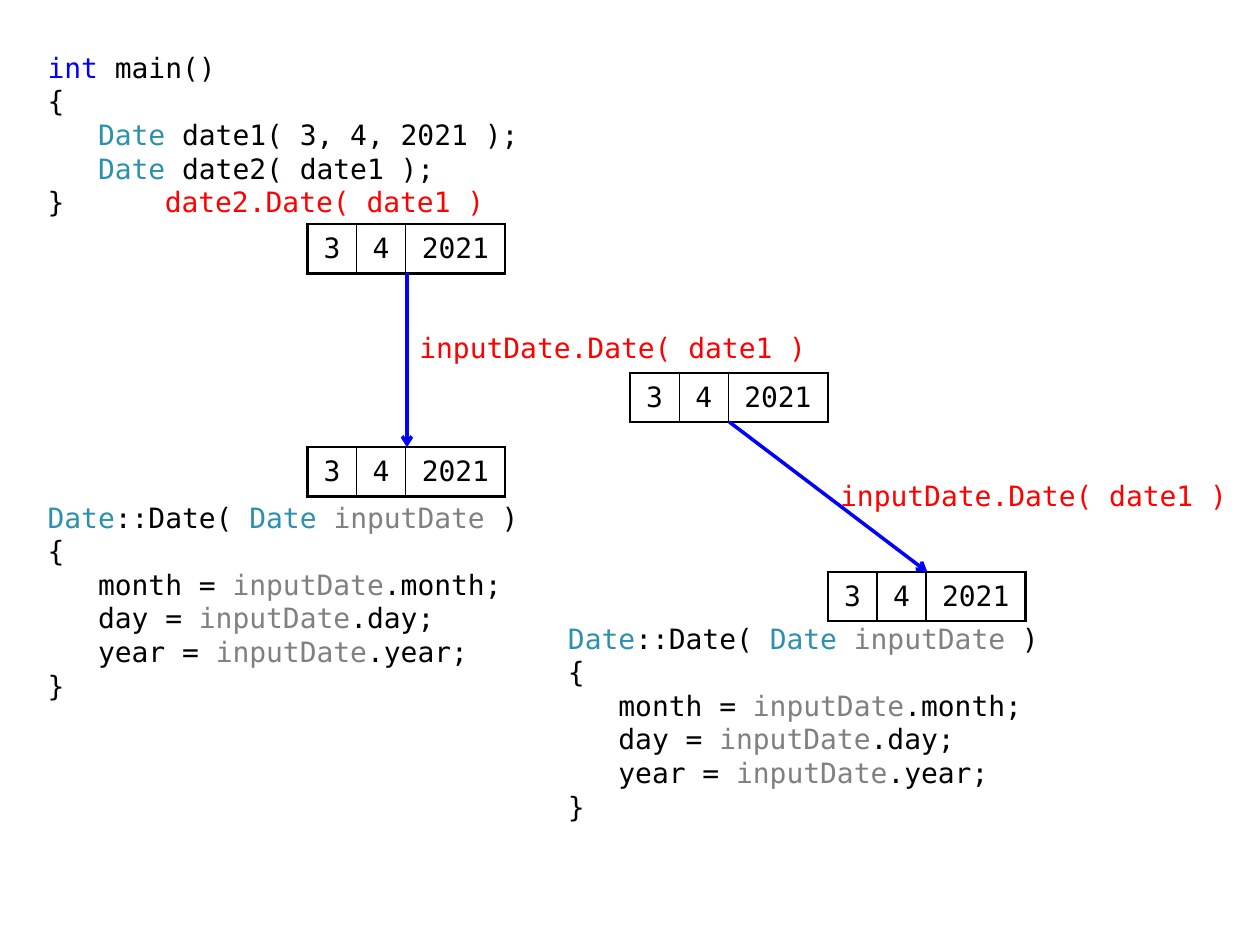
import pptx
import pptx.dml.color
import pptx.enum.shapes
import pptx.enum.text
import pptx.oxml
import pptx.oxml.ns
import pptx.util
from pptx.util import Inches

COLORS = {
    "plain": "000000",
    "keyword": "0000FF",
    "type": "2B91AF",
    "parameter": "808080",
    "call": "FF0000",
    "arrow": "0000FF",
    "cell": "FFFFFF",
}
FONT = "DejaVu Sans Mono"
FONT_SIZE = 16
CELL = 0.39
FIELD_WIDTHS = (CELL, CELL, 0.79)
DATE_FIELDS = ("3", "4", "2021")
CODE_WIDTH = 3.94


def rgb(name):
    return pptx.dml.color.RGBColor.from_string(COLORS[name])


def add_xml(parent, tag, content="", attributes=""):
    xml = f'<a:{tag} {pptx.oxml.ns.nsdecls("a")} {attributes}>{content}</a:{tag}>'
    parent.append(pptx.oxml.parse_xml(xml))


class CodeSlide:
    def __init__(self, slide):
        self.shapes = slide.shapes

    def style(self, paragraph):
        paragraph.font.name = FONT
        paragraph.font.size = pptx.util.Pt(FONT_SIZE)

    def code(self, left, top, width, height, lines, tab=None):
        """Write lines of (text, colour name) pieces; tab is a stop in inches."""
        box = self.shapes.add_textbox(*map(Inches, (left, top, width, height)))
        frame = box.text_frame
        frame.word_wrap = True
        frame.margin_top = 0
        for number, pieces in enumerate(lines):
            paragraph = frame.add_paragraph() if number else frame.paragraphs[0]
            if tab and any("\t" in text for text, _ in pieces):
                stop = f'<a:tab pos="{Inches(tab)}" algn="l"/>'
                add_xml(paragraph._p.get_or_add_pPr(), "tabLst", stop)
            self.style(paragraph)
            for text, color in pieces:
                run = paragraph.add_run()
                run.text = text
                run.font.color.rgb = rgb(color)

    def call(self, left, top, text):
        self.code(left, top + 0.05, 3.35, 0.34, [[(text, "call")]])

    def date(self, left, top):
        """Draw the fields of a date object as a one-row table."""
        frame = self.shapes.add_table(
            1, len(DATE_FIELDS), Inches(left), Inches(top),
            Inches(sum(FIELD_WIDTHS)), Inches(CELL))
        table = frame.table
        table.first_row = table.horz_banding = False
        table.rows[0].height = Inches(CELL)
        last = len(DATE_FIELDS) - 1
        for column, (value, width) in enumerate(zip(DATE_FIELDS, FIELD_WIDTHS)):
            table.columns[column].width = Inches(width)
            cell = table.cell(0, column)
            cell.margin_top = cell.margin_bottom = 0
            cell.margin_left = cell.margin_right = Inches(0.08 if column == last else 0.1)
            cell.vertical_anchor = pptx.enum.text.MSO_ANCHOR.MIDDLE
            cell.text = value
            paragraph = cell.text_frame.paragraphs[0]
            paragraph.alignment = pptx.enum.text.PP_ALIGN.CENTER
            self.style(paragraph)
            paragraph.font.color.rgb = rgb("plain")
            borders = {"L": 0.75 if column else 1.5,
                       "R": 1.5 if column == last else 0.75,
                       "T": 1.5, "B": 1.5}
            line = f'<a:solidFill><a:srgbClr val="{COLORS["plain"]}"/></a:solidFill>'
            for side, points in borders.items():
                add_xml(cell._tc.get_or_add_tcPr(), f"ln{side}", line,
                        f'w="{pptx.util.Pt(points)}"')
            cell.fill.solid()
            cell.fill.fore_color.rgb = rgb("cell")

    def copy_arrow(self, source, target):
        """Point from the bottom of one date to the top of another."""
        middle = 2 * CELL + 0.01
        arrow = self.shapes.add_connector(
            pptx.enum.shapes.MSO_CONNECTOR.STRAIGHT,
            Inches(source[0] + middle), Inches(source[1] + CELL),
            Inches(target[0] + middle), Inches(target[1]))
        arrow.line.color.rgb = rgb("arrow")
        arrow.line.width = pptx.util.Pt(2)
        add_xml(arrow.line._get_or_add_ln(), "tailEnd", attributes='type="arrow"')
        add_xml(arrow._element.spPr, "effectLst")


def assignment(field):
    return [(f"   {field} = ", "plain"), ("inputDate", "parameter"),
            (f".{field};", "plain")]


MAIN = [
    [("int", "keyword"), (" main()", "plain")],
    [("{", "plain")],
    [("   ", "plain"), ("Date ", "type"), ("date1( 3, 4, 2021 );", "plain")],
    [("   ", "plain"), ("Date", "type"), (" date2( date1 );", "plain")],
    [("}\t", "plain"), ("date2.Date( date1 )", "call")],
]
CONSTRUCTOR = [
    [("Date", "type"), ("::Date( ", "plain"), ("Date ", "type"),
     ("inputDate", "parameter"), (" )", "plain")],
    [("{", "plain")],
    *map(assignment, ("month", "day", "year")),
    [("}", "plain")],
]


def main():
    presentation = pptx.Presentation()
    presentation.slide_width = Inches(10)
    presentation.slide_height = Inches(7.5)
    slide = CodeSlide(presentation.slides.add_slide(presentation.slide_layouts[6]))

    date1 = (2.44, 1.78)
    first_input = (2.44, 3.55)
    date1_again = (5, 2.96)
    second_input = (6.57, 4.54)

    slide.code(0.28, 0.4, CODE_WIDTH, 1.38, MAIN, tab=0.93)
    for left, top in ((0.28, 3.97), (4.41, 4.93)):
        slide.code(left, top, CODE_WIDTH, 1.57, CONSTRUCTOR)
    for position in (date1, first_input, date1_again, second_input):
        slide.date(*position)
    slide.copy_arrow(date1, first_input)
    slide.copy_arrow(date1_again, second_input)
    for left, top in ((3.23, 2.57), (6.57, 3.75)):
        slide.call(left, top, "inputDate.Date( date1 )")

    presentation.save("out.pptx")


if __name__ == "__main__":
    main()
